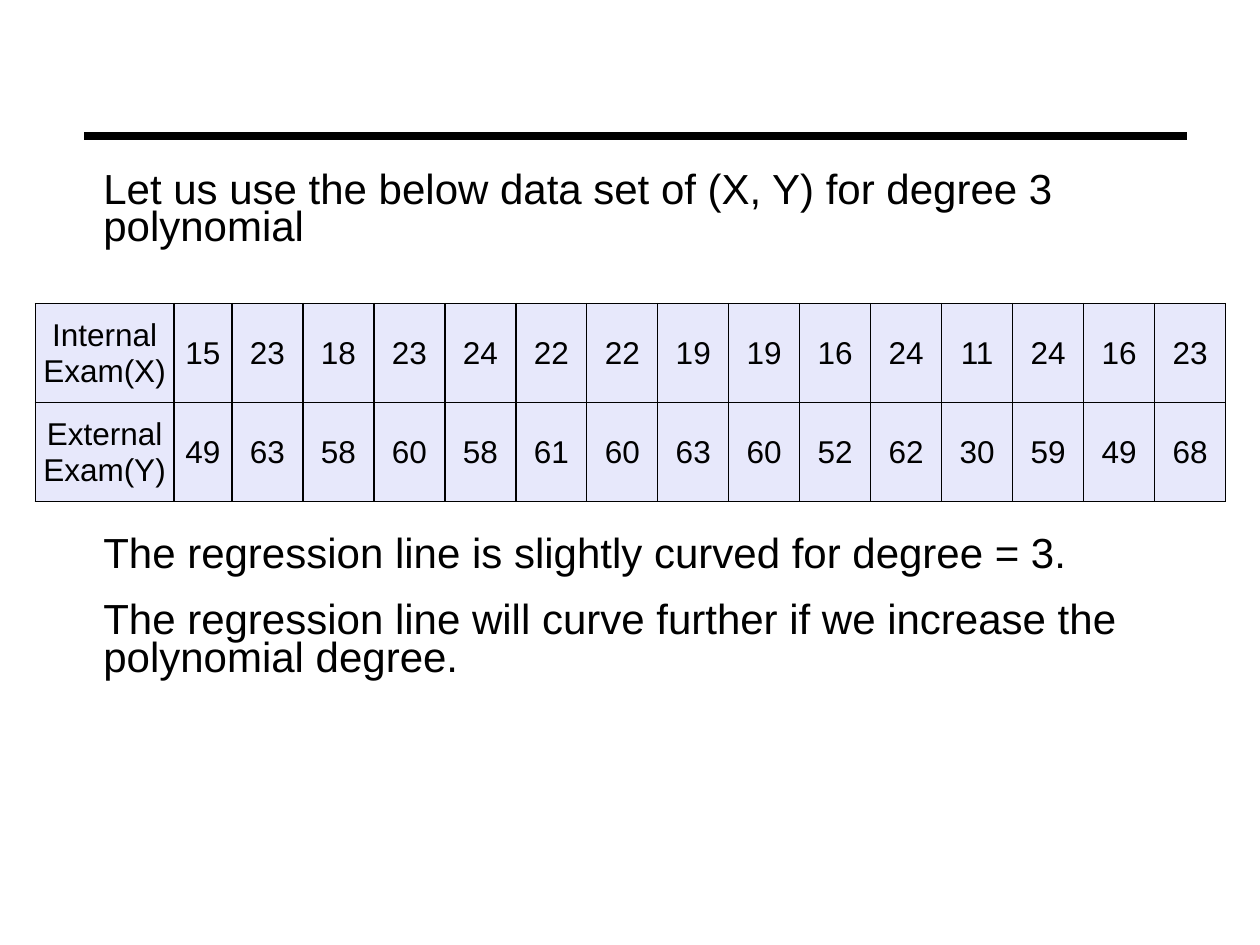
import pptx
import pptx.util
import pptx.dml.color
import pptx.enum.shapes
import pptx.enum.text
import pptx.oxml
import pptx.oxml.ns
from dataclasses import dataclass

STATEMENTS = [
    ("Let us use the below data set of (X, Y) for degree 3 polynomial", 0),
    ("The regression line is slightly curved for degree = 3.", 165),
    ("The regression line will curve further if we increase the polynomial degree.", 16),
]
EXAM_SCORES = {
    "Internal Exam(X)": [15, 23, 18, 23, 24, 22, 22, 19, 19, 16, 24, 11, 24, 16, 23],
    "External Exam(Y)": [49, 63, 58, 60, 58, 61, 60, 63, 60, 52, 62, 30, 59, 49, 68],
}


@dataclass(frozen=True)
class Theme:
    font: str = "Arial"
    ink: str = "000000"
    cell: str = "E7E8FB"
    body_size: float = 24
    table_size: float = 18
    rule_width: float = 4.5
    border_width: float = 1


THEME = Theme()
INCH = pptx.util.Inches
POINT = pptx.util.Pt
WIDTH, HEIGHT = 10, 7.5
RULE = (0.67, 1.08, 9.42)
BODY = (0.75, 1.35, 8.58, 4.36)
TABLE = (0.28, 2.41, 9.45, 1.57)
LABEL_COLUMN, FIRST_COLUMN = 1.1, 0.46


def color(value):
    return pptx.dml.color.RGBColor.from_string(value)


def style_font(para, size):
    para.font.name = THEME.font
    para.font.size = POINT(size)
    para.font.color.rgb = color(THEME.ink)


def set_margins(holder, left, top, right, bottom):
    holder.margin_left, holder.margin_top = INCH(left), INCH(top)
    holder.margin_right, holder.margin_bottom = INCH(right), INCH(bottom)


def add_rule(page):
    left, top, right = RULE
    rule = page.shapes.add_connector(
        pptx.enum.shapes.MSO_CONNECTOR.STRAIGHT,
        INCH(left), INCH(top), INCH(right), INCH(top))
    rule.line.color.rgb = color(THEME.ink)
    rule.line.width = POINT(THEME.rule_width)
    properties = rule._element.spPr
    properties.append(pptx.oxml.parse_xml(
        f"<a:effectLst {pptx.oxml.ns.nsdecls('a')}/>"))


def add_statements(page):
    box = page.shapes.add_textbox(*map(INCH, BODY))
    frame = box.text_frame
    frame.word_wrap = True
    set_margins(frame, 0.07, 0.03, 0.07, 0.03)
    for index, (words, gap) in enumerate(STATEMENTS):
        para = frame.add_paragraph() if index else frame.paragraphs[0]
        para.text = words
        para.line_spacing = 0.75
        para.space_before = POINT(gap)
        style_font(para, THEME.body_size)


def add_borders(cell):
    properties = cell._tc.get_or_add_tcPr()
    for index, side in enumerate(("lnL", "lnR", "lnT", "lnB")):
        properties.insert(index, pptx.oxml.parse_xml(
            f"<a:{side} {pptx.oxml.ns.nsdecls('a')} w=\"{POINT(THEME.border_width)}\">"
            f"<a:solidFill><a:srgbClr val=\"{THEME.ink}\"/></a:solidFill></a:{side}>"))


def fill_cell(cell, words):
    cell.text = str(words)
    cell.vertical_anchor = pptx.enum.text.MSO_ANCHOR.MIDDLE
    set_margins(cell, 0.01, 0.01, 0.01, 0)
    cell.fill.solid()
    cell.fill.fore_color.rgb = color(THEME.cell)
    para = cell.text_frame.paragraphs[0]
    para.alignment = pptx.enum.text.PP_ALIGN.CENTER
    style_font(para, THEME.table_size)
    add_borders(cell)


def add_score_table(page):
    rows = [[label, *scores] for label, scores in EXAM_SCORES.items()]
    row_count, column_count = len(rows), len(rows[0])
    table = page.shapes.add_table(row_count, column_count, *map(INCH, TABLE)).table
    table.first_row = table.horz_banding = False
    score_column = (TABLE[2] - LABEL_COLUMN - FIRST_COLUMN) / (column_count - 2)
    widths = [LABEL_COLUMN, FIRST_COLUMN] + [score_column] * (column_count - 2)
    for column, width in zip(table.columns, widths):
        column.width = INCH(width)
    for row, values in zip(table.rows, rows):
        row.height = INCH(TABLE[3] / row_count)
        for cell, value in zip(row.cells, values):
            fill_cell(cell, value)


def main():
    deck = pptx.Presentation()
    deck.slide_width, deck.slide_height = INCH(WIDTH), INCH(HEIGHT)
    page = deck.slides.add_slide(deck.slide_layouts[6])
    add_rule(page)
    add_statements(page)
    add_score_table(page)
    deck.save("out.pptx")


if __name__ == "__main__":
    main()
